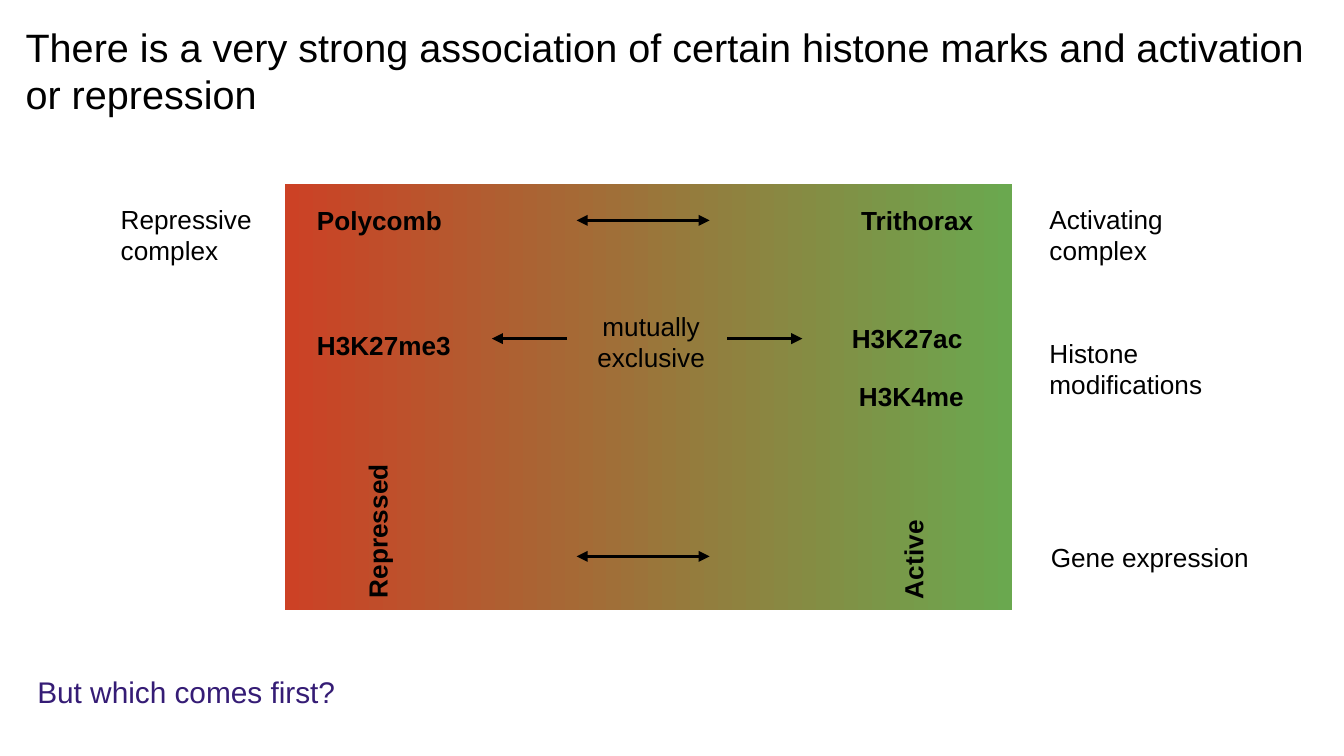
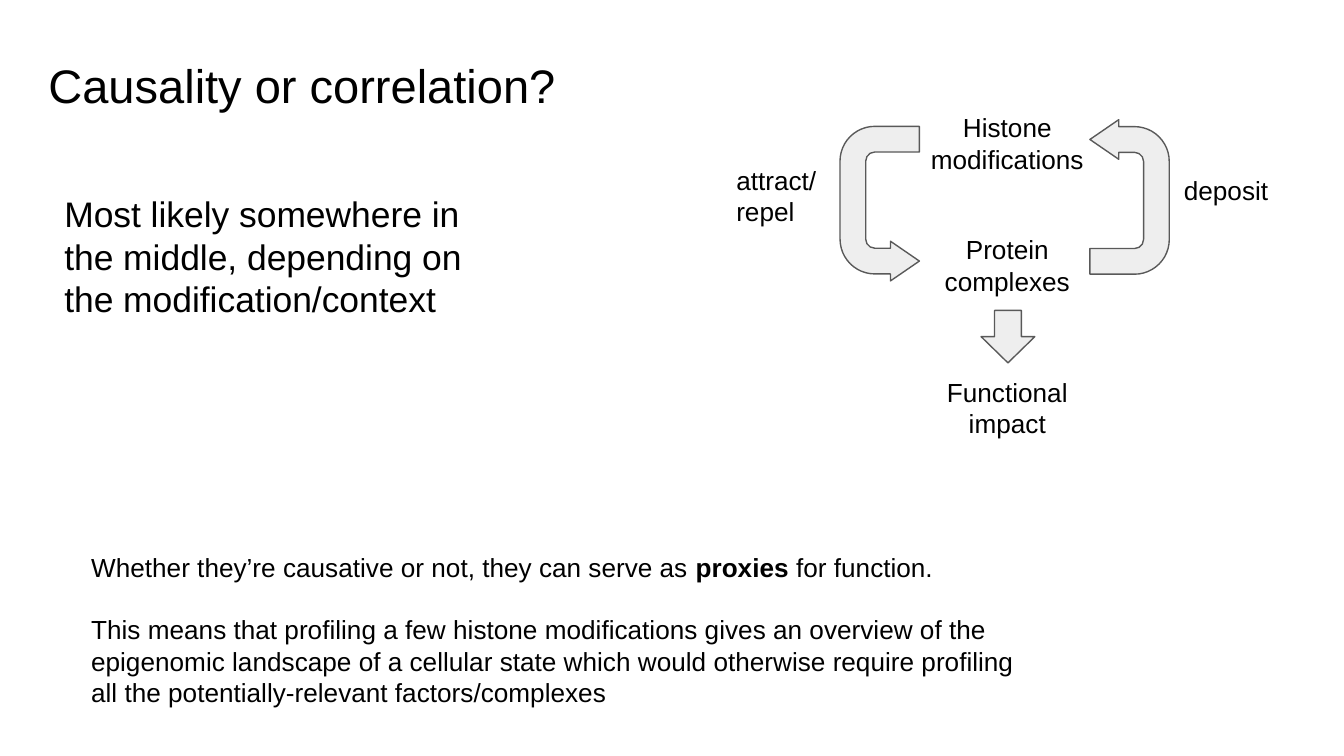
"""Build two slides on histone marks and the question of causality."""
from dataclasses import dataclass

from lxml.etree import SubElement
from pptx import Presentation
from pptx.dml.color import RGBColor
from pptx.enum.shapes import MSO_CONNECTOR as Connector, MSO_SHAPE as Preset
from pptx.enum.text import MSO_ANCHOR as Anchor, MSO_AUTO_SIZE as AutoSize, PP_ALIGN as Align
from pptx.oxml.ns import qn
from pptx.shapes.autoshape import Shape
from pptx.slide import Slide
from pptx.text.text import TextFrame
from pptx.util import Emu, Pt

COLORS = {
    "text": "000000",
    "question": "351C75",
    "repressed": "CC4125",
    "active": "6AA84F",
    "arrow_fill": "EEEEEE",
    "arrow_line": "595959",
}
FONT = "Arial"
LINE_HEIGHT = 1.2
INSET = 10
SLIDE_WIDTH = 1000
TITLE_ONLY = 5
UTURN_ADJUSTMENTS = (0.324, 0.25, 0.364, 0.438, 1)


@dataclass(frozen=True)
class Box:
    """A rectangle in px."""
    left: int
    top: int
    width: int
    height: int


@dataclass(frozen=True)
class Label:
    """A text box; asterisks enclose bold words."""
    text: str
    box: Box
    size: float = 14
    align: Align = Align.LEFT
    color: str = "text"
    rotation: int = 0
    gap: float = 0


@dataclass(frozen=True)
class Arrow:
    """A horizontal arrow in px."""
    start: int
    end: int
    y: int
    double: bool = False


@dataclass(frozen=True)
class BlockArrow:
    """A filled arrow shape."""
    preset: Preset
    box: Box
    adjustments: tuple[float, ...]
    rotation: int = 0
    flipped: bool = False


def px(length: int) -> Emu:
    """Turn px into EMU at 100 px to the inch."""
    return Emu(length * 9144)


def rgb(name: str) -> RGBColor:
    """Look up a colour by name."""
    return RGBColor.from_string(COLORS[name])


def place(box: Box) -> tuple[Emu, Emu, Emu, Emu]:
    """Return the position and size of a box in EMU."""
    return px(box.left), px(box.top), px(box.width), px(box.height)


def write_text(frame: TextFrame, label: Label) -> None:
    """Write and format the text of a label."""
    frame.word_wrap = True
    frame.vertical_anchor = Anchor.TOP
    frame.margin_left = frame.margin_right = px(INSET)
    frame.margin_top = frame.margin_bottom = px(INSET)
    frame.text = label.text.replace("*", "")
    for paragraph, line in zip(frame.paragraphs, label.text.split("\n")):
        paragraph.alignment = label.align
        paragraph.line_spacing = Pt(label.size * LINE_HEIGHT)
        paragraph.space_before = Pt(0)
        paragraph.space_after = Pt(label.gap)
        if "*" in line:
            paragraph.clear()
            for index, piece in enumerate(line.split("*")):
                if piece:
                    run = paragraph.add_run()
                    run.text = piece
                    run.font.bold = index % 2 == 1
        for run in paragraph.runs:
            run.font.name = FONT
            run.font.size = Pt(label.size)
            run.font.color.rgb = rgb(label.color)


def add_label(slide: Slide, label: Label) -> None:
    """Add a text box."""
    shape = slide.shapes.add_textbox(*place(label.box))
    shape.rotation = label.rotation
    write_text(shape.text_frame, label)
    shape.text_frame.auto_size = AutoSize.SHAPE_TO_FIT_TEXT


def add_arrow(slide: Slide, arrow: Arrow) -> None:
    """Add a line with one or two arrowheads."""
    connector = slide.shapes.add_connector(
        Connector.STRAIGHT, px(arrow.start), px(arrow.y), px(arrow.end), px(arrow.y))
    connector.line.color.rgb = rgb("text")
    connector.line.width = Pt(1.5)
    line = connector.line._get_or_add_ln()
    for end in ("a:headEnd", "a:tailEnd") if arrow.double else ("a:tailEnd",):
        SubElement(line, qn(end), type="triangle")
    SubElement(connector._element.spPr, qn("a:effectLst"))


def add_preset(slide: Slide, preset: Preset, box: Box) -> Shape:
    """Add a preset shape without a shadow."""
    shape = slide.shapes.add_shape(preset, *place(box))
    shape.shadow.inherit = False
    return shape


def add_block_arrow(slide: Slide, arrow: BlockArrow) -> None:
    """Add a grey block arrow."""
    shape = add_preset(slide, arrow.preset, arrow.box)
    shape.rotation = arrow.rotation
    if arrow.flipped:
        shape._element.spPr.xfrm.set("flipH", "1")
    for index, value in enumerate(arrow.adjustments):
        shape.adjustments[index] = value
    shape.fill.solid()
    shape.fill.fore_color.rgb = rgb("arrow_fill")
    shape.line.color.rgb = rgb("arrow_line")
    shape.line.width = Pt(0.75)


def add_spectrum(slide: Slide, box: Box) -> None:
    """Add the panel that runs from repressed to active."""
    panel = add_preset(slide, Preset.RECTANGLE, box)
    panel.fill.gradient()
    panel.fill.gradient_angle = 0
    for stop, name in zip(panel.fill.gradient_stops, ("repressed", "active")):
        stop.color.rgb = rgb(name)
    panel.line.fill.background()


def add_titled_slide(presentation: Presentation, title: Label) -> Slide:
    """Add a slide whose only placeholder is its title."""
    slide = presentation.slides.add_slide(presentation.slide_layouts[TITLE_ONLY])
    shape = slide.shapes.title
    shape.left, shape.top, shape.width, shape.height = place(title.box)
    write_text(shape.text_frame, title)
    shape.text_frame.auto_size = AutoSize.NONE
    return slide


def build_association_slide(presentation: Presentation) -> None:
    """Build the slide that sets repression against activation."""
    slide = add_titled_slide(presentation, Label(
        "There is a very strong association of certain histone marks and activation or repression",
        Box(9, 7, 981, 96), 21.2))
    add_spectrum(slide, Box(212, 137, 541, 317))
    labels = (
        Label("*Polycomb*", Box(226, 142, 133, 44)),
        Label("*Trithorax*", Box(580, 142, 154, 44), align=Align.RIGHT),
        Label("*H3K27me3*", Box(226, 235, 187, 44)),
        Label("*H3K27ac*", Box(539, 230, 187, 44), align=Align.RIGHT),
        Label("*H3K4me*", Box(540, 273, 187, 44), align=Align.RIGHT),
        Label("*Repressed*", Box(198, 350, 166, 44), rotation=270),
        Label("*Active*", Box(609, 363, 141, 44), rotation=270),
        Label("mutually\nexclusive", Box(427, 221, 115, 67), align=Align.CENTER),
        Label("Repressive complex", Box(80, 141, 139, 67)),
        Label("Activating complex", Box(771, 141, 178, 67)),
        Label("Histone modifications", Box(771, 241, 178, 67)),
        Label("Gene expression", Box(772, 393, 178, 44)),
        Label("But which comes first?", Box(18, 491, 420, 47), 16, color="question"),
    )
    for label in labels:
        add_label(slide, label)
    for arrow in (Arrow(429, 528, 164, True), Arrow(429, 528, 414, True),
                  Arrow(422, 366, 252), Arrow(541, 597, 252)):
        add_arrow(slide, arrow)


def build_causality_slide(presentation: Presentation) -> None:
    """Build the slide with the feedback loop."""
    slide = add_titled_slide(presentation, Label(
        "Causality or correlation?", Box(26, 32, 932, 63), 25.2))
    block_arrows = (
        BlockArrow(Preset.U_TURN_ARROW, Box(783, 117, 115, 59), UTURN_ADJUSTMENTS, 90, True),
        BlockArrow(Preset.U_TURN_ARROW, Box(597, 122, 115, 59), UTURN_ADJUSTMENTS, 270, True),
        BlockArrow(Preset.DOWN_ARROW, Box(730, 231, 40, 39), (0.5, 0.5)),
    )
    for arrow in block_arrows:
        add_block_arrow(slide, arrow)
    stages = (("Histone\vmodifications", 73), ("Protein complexes", 164),
              ("Functional\nimpact", 270))
    for text, top in stages:
        add_label(slide, Label(text, Box(675, top, 149, 67), align=Align.CENTER))
    labels = (
        Label("Most likely somewhere in the middle, depending on the modification/context",
              Box(38, 133, 331, 116), 19),
        Label("attract/\nrepel", Box(538, 112, 95, 67)),
        Label("deposit", Box(871, 120, 95, 44)),
        Label("Whether they’re causative or not, they can serve as *proxies* for function.\n"
              "This means that profiling a few histone modifications gives an overview of the "
              "epigenomic landscape of a cellular state which would otherwise require profiling "
              "all the potentially-relevant factors/complexes",
              Box(58, 400, 727, 138), gap=14 * LINE_HEIGHT),
    )
    for label in labels:
        add_label(slide, label)


def main() -> None:
    """Build and save the 16:9 presentation."""
    presentation = Presentation()
    presentation.slide_width = px(SLIDE_WIDTH)
    presentation.slide_height = Emu(px(SLIDE_WIDTH) * 9 // 16)
    build_association_slide(presentation)
    build_causality_slide(presentation)
    presentation.save("out.pptx")


if __name__ == "__main__":
    main()
